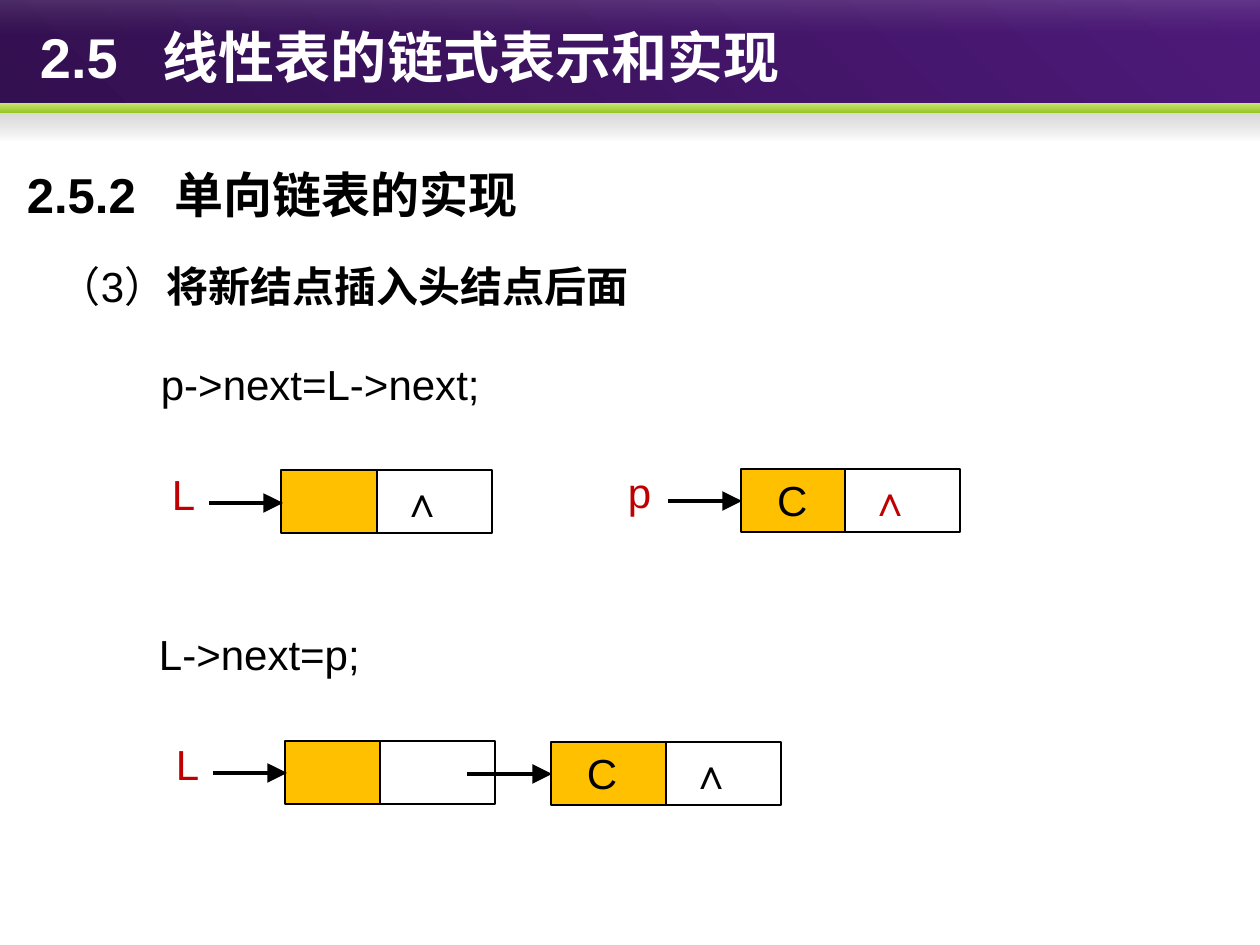
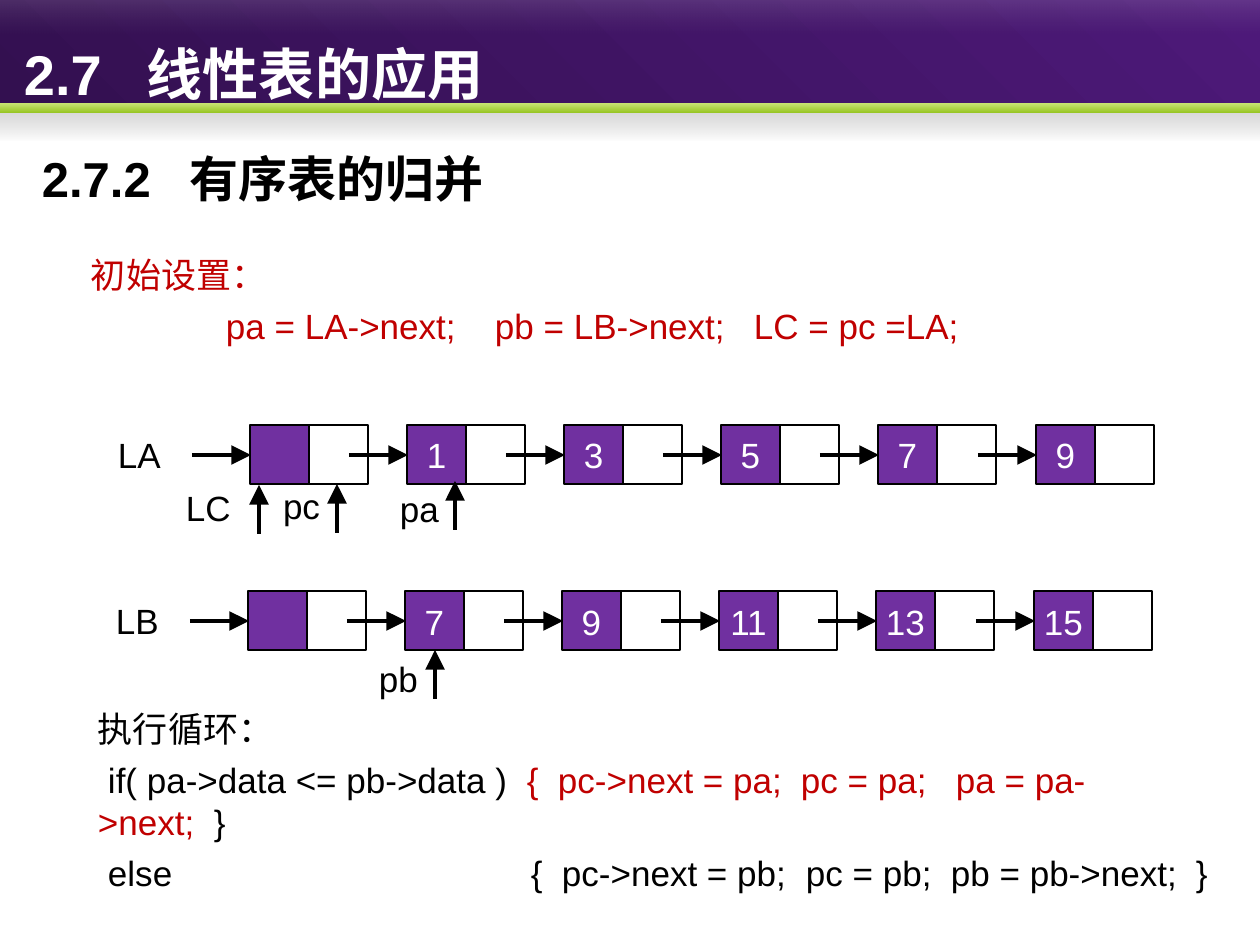
from dataclasses import dataclass

from lxml.etree import SubElement
from pptx import Presentation
from pptx.dml.color import RGBColor
from pptx.enum.shapes import MSO_CONNECTOR as Connector, MSO_SHAPE as Preset
from pptx.enum.text import MSO_ANCHOR as Anchor, PP_ALIGN as Align
from pptx.oxml.ns import qn
from pptx.util import Emu, Pt

PX_PER_INCH = 126
EMU_PER_PX = 914400 / PX_PER_INCH
WIDTH, HEIGHT = 1260, 945
INSET_X, INSET_Y = 13, 6


@dataclass(frozen=True)
class Theme:
    latin: str = "Arial"
    cjk: str = "Noto Sans CJK SC"
    black: str = "000000"
    white: str = "FFFFFF"
    red: str = "C00000"
    orange: str = "FFC000"
    purple: str = "7030A0"
    title_size: int = 32
    heading_size: int = 28
    body_size: int = 24
    small_size: int = 20
    cell_line: float = 1.5
    arrow_line: float = 2.25


THEME = Theme()

# top, height, gradient angle, (colour, opacity %) at each end
BANDS = [
    (0, 113, 315, ("331050", 100), ("4D1979", 100)),
    (111, 30, 90, ("808080", 33), ("5C5C5C", 0)),
    (103, 10, 90, ("C9E576", 100), ("97C523", 100)),
    (0, 35, 90, ("FFFFFF", 13), ("B6B6B6", 0)),
]


def px(length):
    return Emu(round(length * EMU_PER_PX))


def box_px(*lengths):
    return [px(length) for length in lengths]


def apply_format(target, values):
    for name, value in values.items():
        setattr(target, name, value)


def add_band(slide, top, height, angle, *ends):
    shape = slide.shapes.add_shape(Preset.RECTANGLE, *box_px(0, top, WIDTH, height))
    shape.shadow.inherit = False
    shape.line.fill.background()
    shape.fill.gradient()
    shape.fill.gradient_angle = 360 - angle
    for stop, (color, _) in zip(shape.fill.gradient_stops, ends):
        stop.color.rgb = RGBColor.from_string(color)
    colors = shape._element.spPr.iter(qn("a:srgbClr"))
    for color, (_, opacity) in zip(colors, ends):
        SubElement(color, qn("a:alpha")).set("val", str(opacity * 1000))


def add_run(paragraph, text, size, color=THEME.black, bold=False, latin=THEME.latin):
    run = paragraph.add_run()
    run.text = text
    apply_format(run.font, {"name": latin, "size": Pt(size), "bold": bold})
    run.font.color.rgb = RGBColor.from_string(color)
    east_asian = SubElement(run._r.get_or_add_rPr(), qn("a:ea"))
    east_asian.set("typeface", THEME.cjk)


def set_tabs(paragraph, stops):
    """Set left tab stops, in px from the text edge."""
    if not stops:
        return
    tab_list = SubElement(paragraph._p.get_or_add_pPr(), qn("a:tabLst"))
    for stop in stops:
        tab = SubElement(tab_list, qn("a:tab"))
        tab.set("pos", str(px(stop)))
        tab.set("algn", "l")


def set_frame(frame, anchor=Anchor.TOP, wrap=True, left=INSET_X, vertical=INSET_Y):
    apply_format(frame, {
        "word_wrap": wrap,
        "vertical_anchor": anchor,
        "margin_left": px(left),
        "margin_right": px(INSET_X),
        "margin_top": px(vertical),
        "margin_bottom": px(vertical),
    })


def add_text_box(slide, box, **frame_format):
    frame = slide.shapes.add_textbox(*box_px(*box)).text_frame
    set_frame(frame, **frame_format)
    return frame


def add_label(slide, text, box, size, color=THEME.black, wrap=True):
    paragraph = add_text_box(slide, box, wrap=wrap).paragraphs[0]
    add_run(paragraph, text, size, color)


def add_numbered(slide, number, text, box, size, gap, color=THEME.black,
                 spacing=1.0, anchor=Anchor.TOP):
    """Add a bold heading whose words start at a tab after the number."""
    paragraph = add_text_box(slide, box, anchor=anchor).paragraphs[0]
    paragraph.line_spacing = spacing
    set_tabs(paragraph, [gap])
    add_run(paragraph, f"{number}\t{text}", size, color, bold=True)


def add_paragraphs(slide, box, paragraphs):
    """Add lines given as (runs, tab stops); "\n" as a run breaks the line."""
    frame = add_text_box(slide, box, anchor=Anchor.MIDDLE)
    for index, (runs, stops) in enumerate(paragraphs):
        paragraph = frame.add_paragraph() if index else frame.paragraphs[0]
        paragraph.space_before = Pt(5)
        set_tabs(paragraph, stops)
        for text, color, latin in runs:
            if text == "\n":
                paragraph.add_line_break()
            else:
                add_run(paragraph, text, THEME.small_size, color, latin=latin)


def add_cell(slide, box, fill=None):
    shape = slide.shapes.add_shape(Preset.RECTANGLE, *box_px(*box))
    shape.shadow.inherit = False
    if fill:
        shape.fill.solid()
        shape.fill.fore_color.rgb = RGBColor.from_string(fill)
    else:
        shape.fill.background()
    shape.line.width = Pt(THEME.cell_line)
    shape.line.color.rgb = RGBColor.from_string(THEME.black)
    return shape


def add_node(slide, x, y, data_width, next_width, height, fill):
    data = add_cell(slide, (x, y, data_width, height), fill)
    pointer = add_cell(slide, (x + data_width, y, next_width, height))
    return data, pointer


def fill_cell(cell, text, size, color, align=Align.LEFT, bold=False, **frame_format):
    set_frame(cell.text_frame, wrap=False, **frame_format)
    paragraph = cell.text_frame.paragraphs[0]
    paragraph.alignment = align
    add_run(paragraph, text, size, color, bold)


def add_arrow(slide, x1, y1, x2, y2):
    line = slide.shapes.add_connector(Connector.STRAIGHT, *box_px(x1, y1, x2, y2))
    line.line.width = Pt(THEME.arrow_line)
    line.line.color.rgb = RGBColor.from_string(THEME.black)
    head = SubElement(line.line._get_or_add_ln(), qn("a:tailEnd"))
    for name, value in {"type": "triangle", "w": "lg", "len": "lg"}.items():
        head.set(name, value)
    SubElement(line._element.spPr, qn("a:effectLst"))


def add_list_node(slide, x, y, data_width, data="", end_color=None):
    """Add a wide node; end_color marks its next field as null."""
    data_cell, next_cell = add_node(slide, x, y, data_width, 115, 63, THEME.orange)
    if data:
        fill_cell(data_cell, data, THEME.body_size, THEME.black, left=36)
    if end_color:
        fill_cell(next_cell, "∧", THEME.body_size, end_color, bold=True, left=25)


def add_variable(slide, name, x, y, arrow_x):
    """Add a red pointer variable with its arrow to the node on its right."""
    add_label(slide, name, (x, y, 49, 63), THEME.body_size, THEME.red, wrap=False)
    add_arrow(slide, arrow_x, y + 40, arrow_x + 74, y + 40)


def add_chain(slide, name, x, y, values):
    """Add a linked list: an empty head node, then one node per value."""
    side, span = 59, 786
    add_label(slide, name, (x - 145, y + 2, 76, 55), THEME.small_size)
    for index, value in enumerate(["", *values]):
        left = x + index * span // len(values)
        data_cell, _ = add_node(slide, left, y, side, side, side, THEME.purple)
        if value:
            fill_cell(data_cell, str(value), THEME.small_size, THEME.white,
                      Align.CENTER, vertical=9)
        add_arrow(slide, left - 58, y + 30, left + 1, y + 30)


def add_marker(slide, name, label_x, label_y, arrow_x, arrow_top):
    """Add a named arrow that points up at a node."""
    add_label(slide, name, (label_x, label_y, 80, 55), THEME.small_size)
    add_arrow(slide, arrow_x, arrow_top + 49, arrow_x, arrow_top)


def add_slide(presentation, number, title, title_x, spacing=1.0):
    slide = presentation.slides.add_slide(presentation.slide_layouts[6])
    for band in BANDS:
        add_band(slide, *band)
    add_numbered(slide, number, title, (title_x, 0, WIDTH - title_x, 113),
                 THEME.title_size, 123, THEME.white, spacing, Anchor.MIDDLE)
    return slide


def build_insertion(presentation):
    slide = add_slide(presentation, "2.5", "线性表的链式表示和实现", 27)
    item = add_text_box(slide, (46, 255, 1183, 69)).paragraphs[0]
    add_run(item, "（3）", THEME.body_size)
    add_run(item, "将新结点插入头结点后面", THEME.body_size, bold=True)
    add_numbered(slide, "2.5.2", "单向链表的实现", (14, 129, 871, 102),
                 THEME.heading_size, 148, spacing=1.5)

    add_label(slide, "p->next=L->next;", (148, 353, 381, 78), THEME.body_size)
    add_list_node(slide, 281, 470, 96, end_color=THEME.black)
    add_variable(slide, "L", 159, 463, 209)
    add_list_node(slide, 741, 469, 104, "C", THEME.red)
    add_variable(slide, "p", 615, 461, 668)

    add_label(slide, "L->next=p;", (146, 623, 297, 78), THEME.body_size)
    add_list_node(slide, 285, 741, 95)
    add_variable(slide, "L", 163, 733, 213)
    add_list_node(slide, 551, 742, 115, "C", THEME.black)
    add_arrow(slide, 467, 774, 552, 774)


def build_merge(presentation):
    slide = add_slide(presentation, "2.7", "线性表的应用", 11, spacing=1.5)
    add_numbered(slide, "2.7.2", "有序表的归并", (29, 142, 515, 72),
                 THEME.heading_size, 148)
    black, red, latin, cjk = THEME.black, THEME.red, THEME.latin, THEME.cjk
    add_paragraphs(slide, (78, 234, 999, 132), [
        ([("初始设置：", red, cjk)], []),
        ([("\tpa = LA->next;\tpb = LB->next;\tLC = pc =LA;", red, latin)],
         [135, 404, 663]),
    ])

    add_chain(slide, "LA", 250, 425, [1, 3, 5, 7, 9])
    add_marker(slide, "pc", 270, 478, 337, 484)
    add_marker(slide, "pa", 387, 481, 455, 481)
    add_marker(slide, "LC", 173, 480, 259, 485)
    add_chain(slide, "LB", 248, 591, [7, 9, 11, 13, 15])
    add_marker(slide, "pb", 366, 651, 435, 650)

    add_paragraphs(slide, (85, 730, 1138, 141), [
        ([("执行循环：", black, cjk)], []),
        ([("\tif( pa->data <= pb->data )\t", black, latin),
          ("{\tpc->next = pa;\tpc = pa;\tpa = pa-", red, latin),
          ("\n", red, latin),
          (">next;\t", red, latin),
          ("}", black, latin)], [10, 116, 429, 460, 703, 858]),
        ([("\telse\t{\tpc->next = pb;\tpc = pb;\tpb = pb->next;\t}", black, latin)],
         [10, 433, 464, 708, 853, 1098]),
    ])


def main():
    presentation = Presentation()
    apply_format(presentation, {"slide_width": px(WIDTH), "slide_height": px(HEIGHT)})
    build_insertion(presentation)
    build_merge(presentation)
    presentation.save("out.pptx")


if __name__ == "__main__":
    main()
